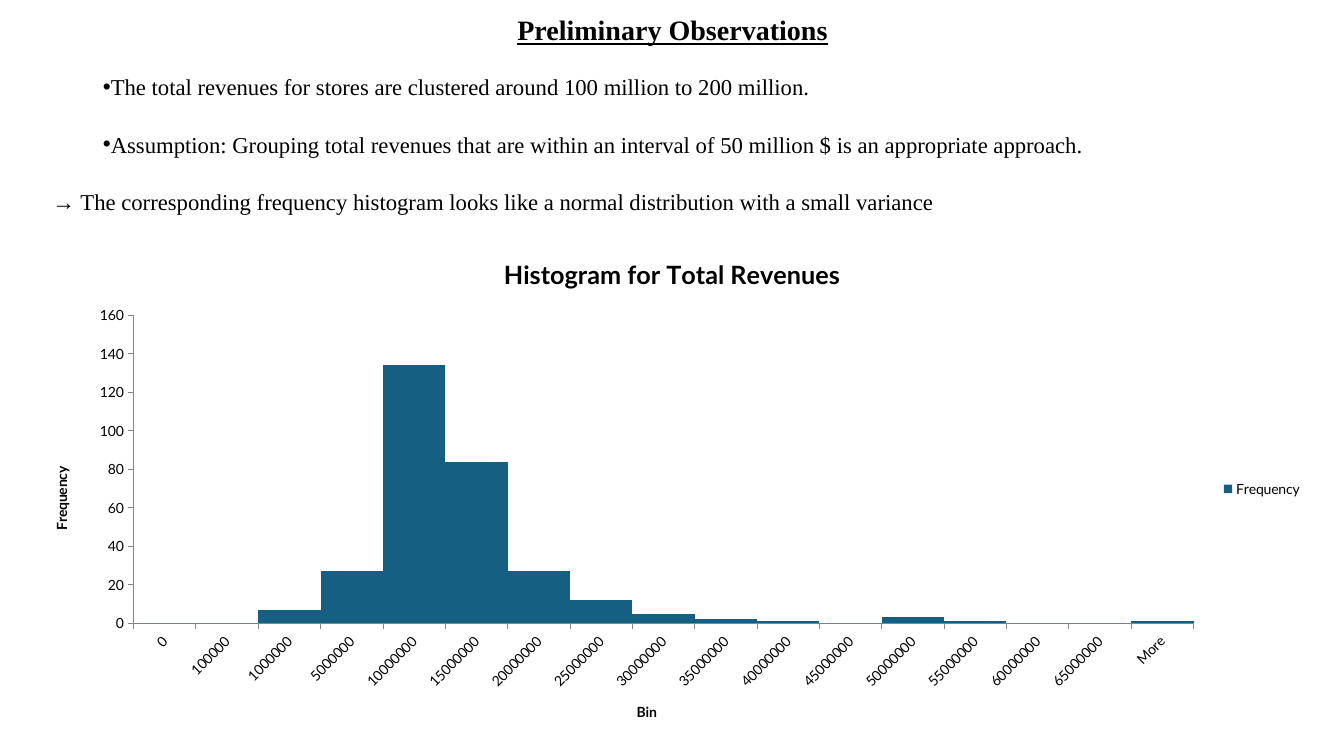
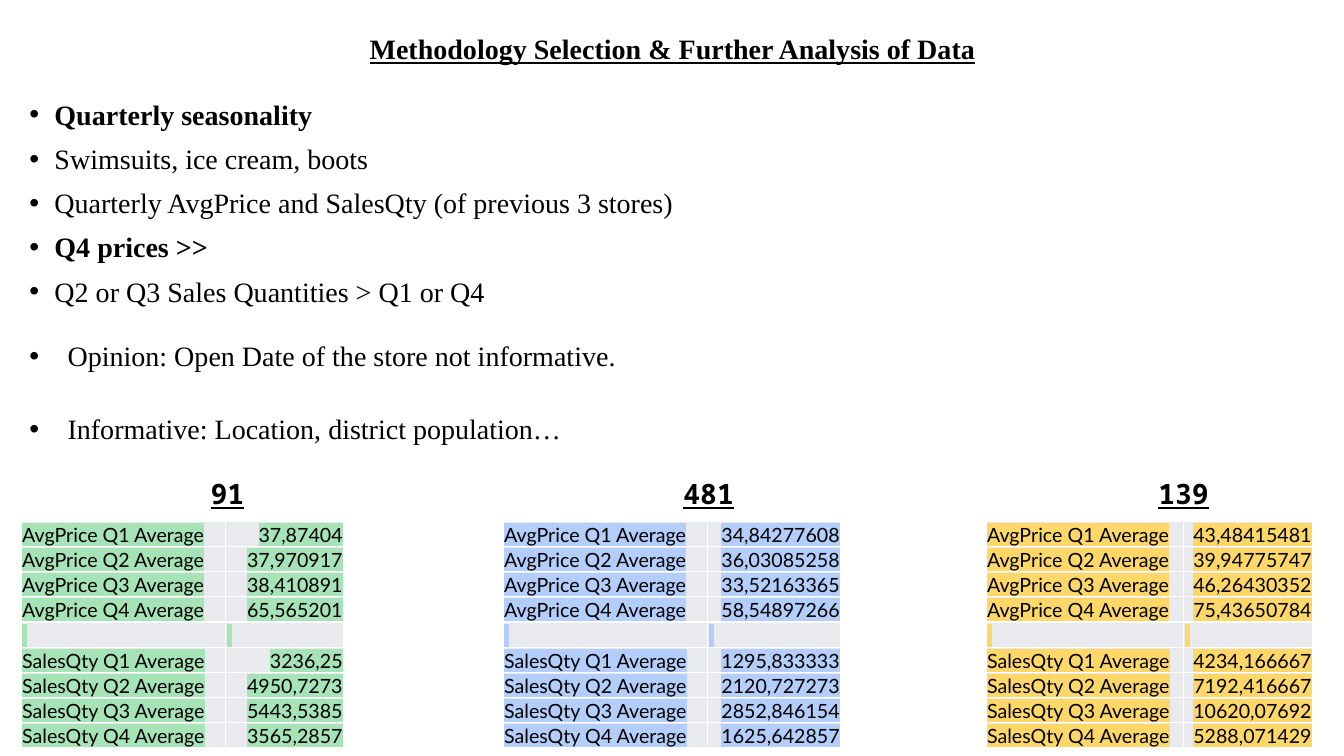
"""Build two slides on store revenues: a histogram and quarterly store averages."""
from lxml import etree
from pptx import Presentation
from pptx.chart.data import CategoryChartData
from pptx.dml.color import RGBColor
from pptx.enum.chart import XL_CHART_TYPE, XL_LEGEND_POSITION, XL_TICK_MARK
from pptx.enum.text import MSO_ANCHOR, MSO_AUTO_SIZE, PP_ALIGN
from pptx.oxml.ns import qn
from pptx.util import Inches, Pt

BLACK = RGBColor(0x00, 0x00, 0x00)
WHITE = RGBColor(0xFF, 0xFF, 0xFF)
TEAL = RGBColor(0x15, 0x60, 0x82)
AXIS_GREY = RGBColor(0x86, 0x86, 0x86)
CELL_GREY = RGBColor(0xE8, 0xEA, 0xED)
GREEN = RGBColor(0xA6, 0xE3, 0xB7)
BLUE = RGBColor(0xB3, 0xCE, 0xFB)
YELLOW = RGBColor(0xFD, 0xD8, 0x68)

SERIF = "Times New Roman"
SANS = "Lato"
MONO = "Noto Sans Mono"

LEFT, CENTER, RIGHT, JUSTIFY = PP_ALIGN.LEFT, PP_ALIGN.CENTER, PP_ALIGN.RIGHT, PP_ALIGN.JUSTIFY
MIDDLE, BOTTOM = MSO_ANCHOR.MIDDLE, MSO_ANCHOR.BOTTOM
NO_FIT, GROW = MSO_AUTO_SIZE.NONE, MSO_AUTO_SIZE.SHAPE_TO_FIT_TEXT
COLUMNS = XL_CHART_TYPE.COLUMN_CLUSTERED
LEGEND_RIGHT = XL_LEGEND_POSITION.RIGHT
TICK_OUT = XL_TICK_MARK.OUTSIDE


def write(frame, text, font=SERIF, size=20, bold=False, underline=False, align=LEFT,
          line=None, before=None, after=None, indent=None, bullet=False, highlight=None):
    """Write one paragraph, reusing the first one while it is empty."""
    paragraph = frame.paragraphs[0]
    if paragraph.runs:
        paragraph = frame.add_paragraph()
    paragraph.alignment = align
    if line:
        paragraph.line_spacing = line
    if before is not None:
        paragraph.space_before = Pt(before)
    if after is not None:
        paragraph.space_after = Pt(after)
    if indent:
        properties = paragraph._p.get_or_add_pPr()
        properties.set("marL", str(Inches(indent[0])))
        properties.set("indent", str(Inches(indent[1])))
        if bullet:
            etree.SubElement(properties, qn("a:buChar")).set("char", "•")
        else:
            etree.SubElement(properties, qn("a:buNone"))
    run = paragraph.add_run()
    run.text = text
    run.font.name, run.font.size = font, Pt(size)
    run.font.bold, run.font.underline = bold, underline
    run.font.color.rgb = BLACK
    if highlight:
        marker = etree.Element(qn("a:highlight"))
        etree.SubElement(marker, qn("a:srgbClr")).set("val", str(highlight))
        run._r.rPr.find(qn("a:solidFill")).addnext(marker)


def add_slide(heading, heading_top, body_box):
    """Add a slide with the shared title style and return it with its body frame."""
    slide = deck.slides.add_slide(deck.slide_layouts[1])
    title, body = slide.placeholders
    boxes = ((0.92, heading_top, 11.5, 0.55), body_box)
    for holder, box in zip((title, body), boxes):
        holder.left, holder.top, holder.width, holder.height = map(Inches, box)
        holder.text_frame.auto_size = NO_FIT
    title.text_frame.vertical_anchor = MIDDLE
    write(title.text_frame, heading, bold=True, underline=True, align=CENTER, line=0.9)
    return slide, body.text_frame


deck = Presentation()
deck.slide_width, deck.slide_height = Inches(13.33), Inches(7.5)

slide, observations = add_slide("Preliminary Observations", 0.04, (0.17, 0.59, 12.94, 1.74))
for text, first_line in (
    ("The total revenues for stores are clustered around 100 million to 200 million.", 0.5),
    ("Assumption: Grouping total revenues that are within an interval of 50 million $ "
     "is an appropriate approach.", 0.5),
    ("→ The corresponding frequency histogram looks like a normal distribution "
     "with a small variance", 0),
):
    write(observations, text, size=16.2, align=JUSTIFY, line=1.3, before=10, after=6,
          indent=(0.25, first_line), bullet=first_line > 0)

revenues = CategoryChartData()
revenues.categories = ["0", "100000", "1000000",
                       *(str(limit) for limit in range(5000000, 65000001, 5000000)), "More"]
revenues.add_series("Frequency", (0, 0, 7, 27, 134, 84, 27, 12, 5, 2, 1, 0, 3, 1, 0, 0, 1))
histogram = slide.shapes.add_chart(COLUMNS, Inches(0.31), Inches(2.34), Inches(12.71),
                                   Inches(5.02), revenues).chart
histogram.font.name, histogram.font.size = SANS, Pt(10)
histogram.font.color.rgb = BLACK
histogram.has_title = True
write(histogram.chart_title.text_frame, "Histogram for Total Revenues",
      font=SANS, size=18, bold=True, align=CENTER)
histogram.chart_title.include_in_layout = False
histogram.has_legend = True
histogram.legend.position = LEGEND_RIGHT
histogram.legend.include_in_layout = False

bars = histogram.plots[0]
bars.gap_width, bars.vary_by_categories = 0, False
bars.series[0].format.fill.solid()
bars.series[0].format.fill.fore_color.rgb = TEAL

bins, counts = histogram.category_axis, histogram.value_axis
for axis, name in ((bins, "Bin"), (counts, "Frequency")):
    axis.has_major_gridlines = False
    axis.major_tick_mark = TICK_OUT
    axis.format.line.color.rgb = AXIS_GREY
    axis.tick_labels.font.size = Pt(10)
    write(axis.axis_title.text_frame, name, font=SANS, size=10, bold=True, align=CENTER)
counts.minimum_scale, counts.maximum_scale, counts.major_unit = 0, 160, 20
bins._element.find(qn("c:txPr")).find(qn("a:bodyPr")).set("rot", "-2700000")

slide, methodology = add_slide("Methodology Selection & Further Analysis of Data", 0.23,
                               (0.19, 0.95, 12.99, 3.58))
for text, bold in (
    ("Quarterly seasonality", True),
    ("Swimsuits, ice cream, boots", False),
    ("Quarterly AvgPrice and SalesQty (of previous 3 stores)", False),
    ("Q4 prices >>", True),
    ("Q2 or Q3 Sales Quantities > Q1 or Q4", False),
):
    write(methodology, text, bold=bold, line=0.9, before=10, indent=(0.25, -0.25), bullet=True)
for text in ("Opinion: Open Date of the store not informative.",
             "Informative: Location, district population…"):
    write(methodology, text, align=JUSTIFY, line=1.5, before=10, after=6,
          indent=(0.38, -0.38), bullet=True)

measures = [f"{measure} Q{quarter} Average"
            for measure in ("AvgPrice", "SalesQty") for quarter in range(1, 5)]
stores = (
    ("91", 1.99, 0.57, 0.21, (2.03, 1.17), GREEN,
     ("37,87404", "37,970917", "38,410891", "65,565201",
      "3236,25", "4950,7273", "5443,5385", "3565,2857")),
    ("481", 6.68, 0.79, 4.99, (2.03, 1.32), BLUE,
     ("34,84277608", "36,03085258", "33,52163365", "58,54897266",
      "1295,833333", "2120,727273", "2852,846154", "1625,642857")),
    ("139", 11.39, 0.79, 9.78, (1.96, 1.28), YELLOW,
     ("43,48415481", "39,94775747", "46,26430352", "75,43650784",
      "4234,166667", "7192,416667", "10620,07692", "5288,071429")),
)
for store, store_left, store_width, table_left, widths, tint, averages in stores:
    label = slide.shapes.add_textbox(Inches(store_left), Inches(4.68),
                                     Inches(store_width), Inches(0.44)).text_frame
    label.word_wrap, label.auto_size = False, GROW
    write(label, store, font=MONO, bold=True, underline=True)

    rows = list(zip(measures, averages))
    rows.insert(4, (" ", " "))
    table = slide.shapes.add_table(len(rows), 2, Inches(table_left), Inches(5.17),
                                   Inches(sum(widths)), Inches(0.25 * len(rows))).table
    table.first_row = table.horz_banding = False
    for column, width in zip(table.columns, widths):
        column.width = Inches(width)
    for row, texts in enumerate(rows):
        for column, text in enumerate(texts):
            cell = table.cell(row, column)
            cell.margin_left = cell.margin_top = cell.margin_right = Inches(0.01)
            cell.margin_bottom = 0
            cell.vertical_anchor = BOTTOM
            for side in ("a:lnL", "a:lnR", "a:lnT", "a:lnB"):
                border = etree.SubElement(cell._tc.get_or_add_tcPr(), qn(side), w=str(Pt(1)))
                paint = etree.SubElement(border, qn("a:solidFill"))
                etree.SubElement(paint, qn("a:srgbClr")).set("val", str(WHITE))
            cell.fill.solid()
            cell.fill.fore_color.rgb = CELL_GREY
            write(cell.text_frame, text, font=SANS, size=14, highlight=tint,
                  align=RIGHT if column and text.strip() else LEFT)

deck.save("out.pptx")
